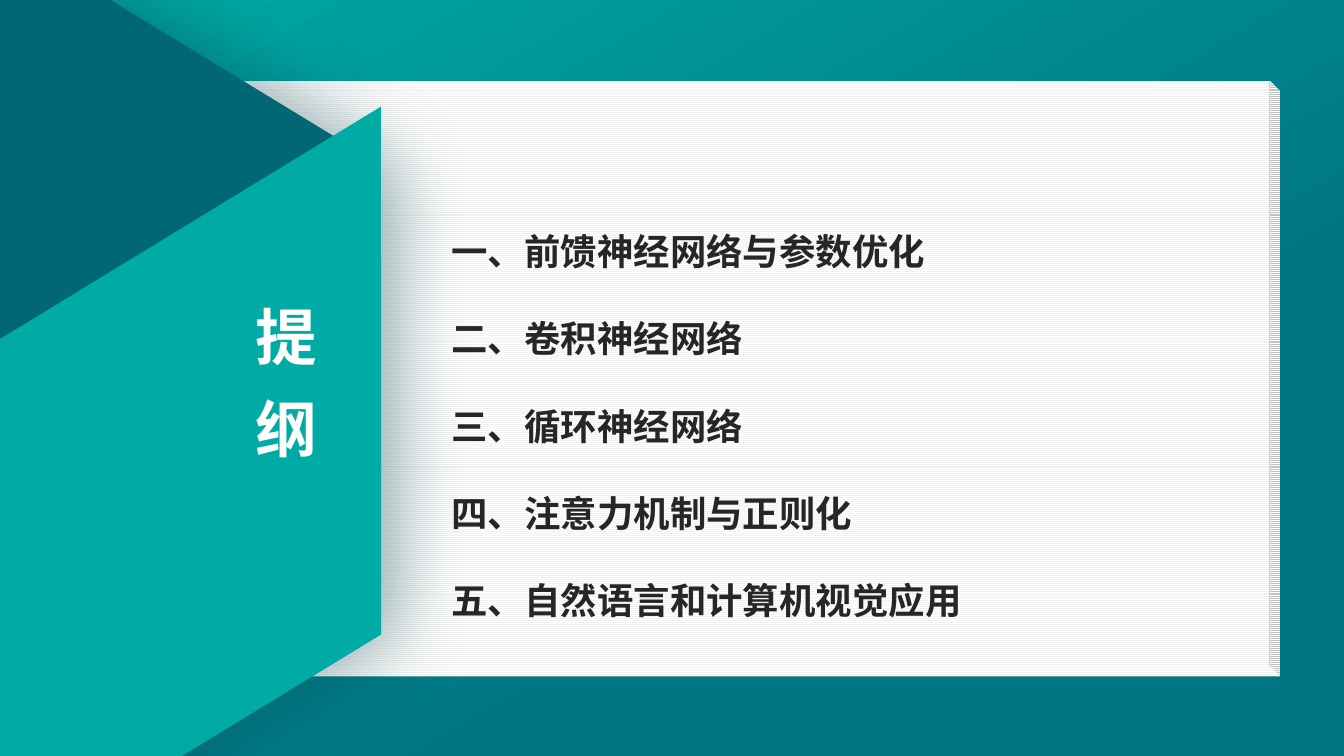
"""Build the outline slide of a neural network lecture."""
import pptx
import pptx.util
import pptx.dml.color
import pptx.enum.dml
import pptx.enum.shapes
import pptx.enum.text
import pptx.oxml
import pptx.oxml.ns

Inches = pptx.util.Inches
Pt = pptx.util.Pt
RGBColor = pptx.dml.color.RGBColor
MSO_SHAPE = pptx.enum.shapes.MSO_SHAPE

TEAL = RGBColor(0x00, 0xAB, 0xA5)
MID_TEAL = RGBColor(0x00, 0x76, 0x84)
DARK_TEAL = RGBColor(0x01, 0x67, 0x73)
SHADOW_TEAL = RGBColor(0x01, 0x3F, 0x45)
BLACK = RGBColor(0x00, 0x00, 0x00)
WHITE = RGBColor(0xFF, 0xFF, 0xFF)
PAPER_LINE = RGBColor(0xF2, 0xF2, 0xF2)
INK = RGBColor(0x26, 0x26, 0x26)
FONT = "Noto Sans CJK SC"
TOPICS = [
    "一、前馈神经网络与参数优化",
    "二、卷积神经网络",
    "三、循环神经网络",
    "四、注意力机制与正则化",
    "五、自然语言和计算机视觉应用",
]


def outer_shadow(color, alpha, blur, distance, angle):
    return pptx.oxml.parse_xml(
        f'<a:effectLst {pptx.oxml.ns.nsdecls("a")}>'
        f'<a:outerShdw blurRad="{Pt(blur)}" dist="{Pt(distance)}" dir="{angle * 60000}" '
        f'algn="ctr" rotWithShape="0"><a:srgbClr val="{color}">'
        f'<a:alpha val="{alpha * 1000}"/></a:srgbClr></a:outerShdw></a:effectLst>')


def style_paragraph(paragraph, size, color):
    font = paragraph.font
    font.size = Pt(size)
    font.bold = True
    font.color.rgb = color
    font.name = FONT
    properties = paragraph._p.pPr.find(pptx.oxml.ns.qn("a:defRPr"))
    properties.append(pptx.oxml.parse_xml(
        f'<a:ea {pptx.oxml.ns.nsdecls("a")} typeface="{FONT}"/>'))
    return properties


presentation = pptx.Presentation()
presentation.slide_width = Inches(13.33)
presentation.slide_height = Inches(7.5)
slide = presentation.slides.add_slide(presentation.slide_layouts[5])

panels = {}
for name, kind, left, top, width, height, rotation, adjustments in [
    ("paper", MSO_SHAPE.CUBE, 0, 0.8, 12.7, 5.91, 0, [0.018]),
    ("hexagon", MSO_SHAPE.HEXAGON, -6.21, -0.79, 10.46, 9.51, 90, [0.305, 1.155]),
    ("band", MSO_SHAPE.PARALLELOGRAM, -2.74, 2.89, 8.29, 4.47, 328.6, [0.61]),
]:
    shape = slide.shapes.add_shape(
        kind, Inches(left), Inches(top), Inches(width), Inches(height))
    shape.rotation = rotation
    for index, value in enumerate(adjustments):
        shape.adjustments[index] = value
    shape.line.fill.background()
    if name != "hexagon":
        shape.shadow.inherit = False
    panels[name] = shape

paper = panels["paper"]
paper._element.spPr.xfrm.set("flipV", "1")
paper.fill.patterned()
paper.fill.pattern = pptx.enum.dml.MSO_PATTERN.LIGHT_HORIZONTAL
paper.fill.fore_color.rgb = PAPER_LINE
paper.fill.back_color.rgb = WHITE
panels["band"].fill.solid()
panels["band"].fill.fore_color.rgb = TEAL

for fill, angle, stops in [
    (slide.background.fill, 300, [(0, TEAL), (0.67, MID_TEAL)]),
    (panels["hexagon"].fill, 270, [(0.77, DARK_TEAL), (1, MID_TEAL)]),
]:
    fill.gradient()
    fill.gradient_angle = angle
    for stop, (position, color) in zip(fill.gradient_stops, stops):
        stop.position = position
        stop.color.rgb = color
panels["hexagon"]._element.spPr.append(outer_shadow(SHADOW_TEAL, 40, 55, 13, 0))

title = slide.shapes.title
title.left, title.top = Inches(2.44), Inches(2.78)
title.width, title.height = Inches(0.8), Inches(1.83)
slide.shapes._spTree.append(title._element)
frame = title.text_frame
frame.text = "提\n纲"
frame.auto_size = pptx.enum.text.MSO_AUTO_SIZE.NONE
frame.vertical_anchor = pptx.enum.text.MSO_ANCHOR.TOP
frame.margin_left = frame.margin_right = frame.margin_top = frame.margin_bottom = 0
for paragraph in frame.paragraphs:
    paragraph.alignment = pptx.enum.text.PP_ALIGN.CENTER
    paragraph.line_spacing = Pt(66)
    properties = style_paragraph(paragraph, 44, WHITE)
    properties.insert(1, outer_shadow(BLACK, 43, 3, 3, 45))

topics = slide.shapes.add_textbox(Inches(4.38), Inches(1.79), Inches(7.15), Inches(4.34))
frame = topics.text_frame
frame.text = "\n".join(TOPICS)
frame.word_wrap = True
frame.auto_size = pptx.enum.text.MSO_AUTO_SIZE.SHAPE_TO_FIT_TEXT
for paragraph in frame.paragraphs:
    paragraph.line_spacing = 2
    style_paragraph(paragraph, 26, INK)

presentation.save("out.pptx")
